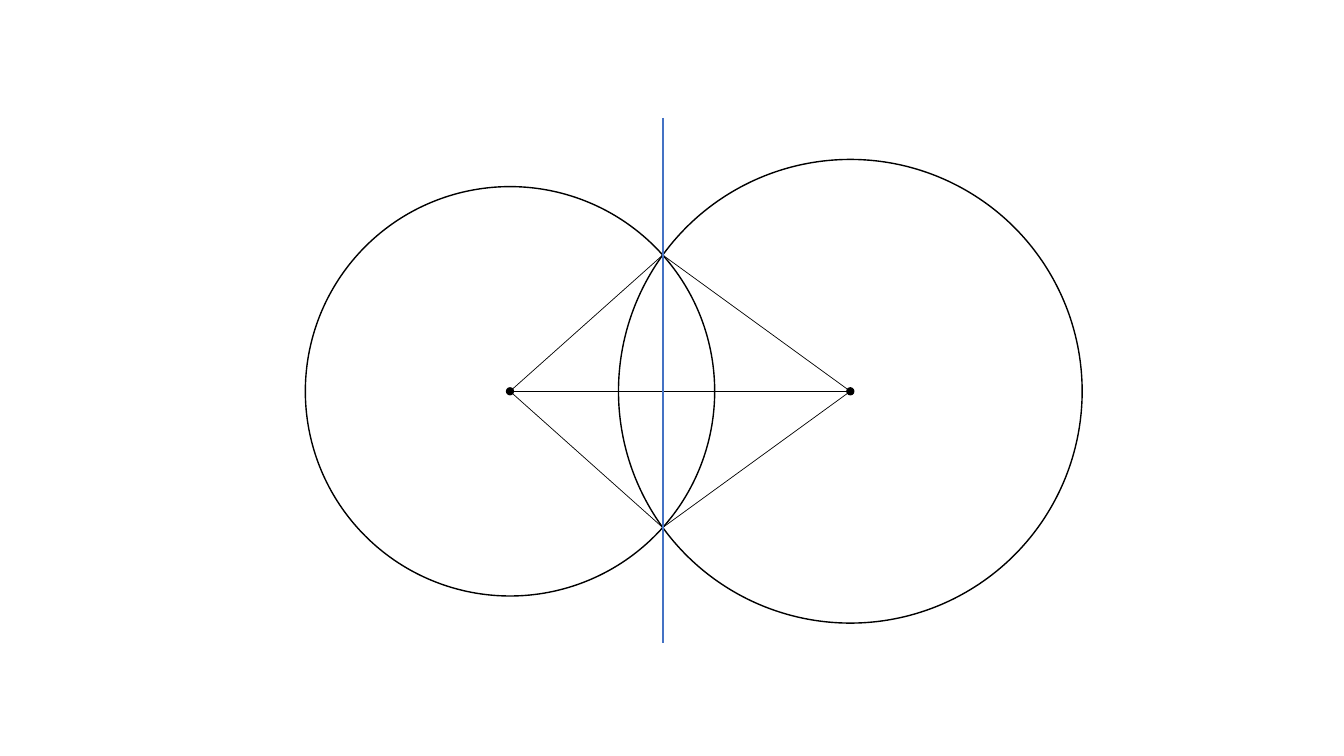
from math import sqrt

from lxml.etree import SubElement
from pptx import Presentation
from pptx.dml.color import RGBColor
from pptx.enum.shapes import MSO_CONNECTOR as Connector, MSO_SHAPE as Shape
from pptx.oxml.ns import qn
from pptx.util import Pt

BLACK = RGBColor(0x00, 0x00, 0x00)
BLUE = RGBColor(0x44, 0x72, 0xC4)

AXIS_Y = 279.5
LEFT_CENTER, LEFT_RADIUS = (364.3, AXIS_Y), 146.2
RIGHT_CENTER, RIGHT_RADIUS = (607.4, AXIS_Y), 165.6
RADICAL_TOP, RADICAL_BOTTOM = 84.2, 459.4


class Drawing:
    OUTLINE = {"color": BLACK, "width": 1}
    THIN = {"color": BLACK, "width": 0.5}
    ACCENT = {"color": BLUE, "width": 1.25}

    def __init__(self, slide):
        self.slide = slide

    def style_line(self, line, style):
        line.color.rgb = style["color"]
        line.width = Pt(style["width"])

    def circle(self, center, radius):
        x, y = center
        box = (x - radius, y - radius, 2 * radius, 2 * radius)
        shape = self.slide.shapes.add_shape(Shape.OVAL, *map(Pt, box))
        shape.shadow.inherit = False
        shape.fill.background()
        self.style_line(shape.line, self.OUTLINE)

    def segment(self, start, end, style, dotted_ends=False):
        """Draw a straight line, with a round dot at both ends if asked."""
        connector = self.slide.shapes.add_connector(
            Connector.STRAIGHT, *map(Pt, (*start, *end)))
        self.style_line(connector.line, style)
        properties = connector._element.spPr
        if dotted_ends:
            outline = properties.find(qn("a:ln"))
            for end_tag in ("a:headEnd", "a:tailEnd"):
                SubElement(outline, qn(end_tag), type="oval")
        SubElement(properties, qn("a:effectLst"))


def circle_crossings():
    """Return the upper and lower points where the two circles meet."""
    distance = RIGHT_CENTER[0] - LEFT_CENTER[0]
    offset = (distance**2 + LEFT_RADIUS**2 - RIGHT_RADIUS**2) / (2 * distance)
    half_chord = sqrt(LEFT_RADIUS**2 - offset**2)
    x = LEFT_CENTER[0] + offset
    return (x, AXIS_Y - half_chord), (x, AXIS_Y + half_chord)


def main():
    presentation = Presentation()
    presentation.slide_width, presentation.slide_height = Pt(960), Pt(540)
    slide = presentation.slides.add_slide(presentation.slide_layouts[6])
    drawing = Drawing(slide)

    drawing.circle(LEFT_CENTER, LEFT_RADIUS)
    drawing.circle(RIGHT_CENTER, RIGHT_RADIUS)
    drawing.segment(LEFT_CENTER, RIGHT_CENTER, drawing.THIN, dotted_ends=True)

    crossings = circle_crossings()
    for center in (LEFT_CENTER, RIGHT_CENTER):
        for crossing in crossings:
            drawing.segment(center, crossing, drawing.THIN)

    radical_x = crossings[0][0]
    drawing.segment((radical_x, RADICAL_TOP), (radical_x, RADICAL_BOTTOM),
                    drawing.ACCENT)
    presentation.save("out.pptx")


if __name__ == "__main__":
    main()
